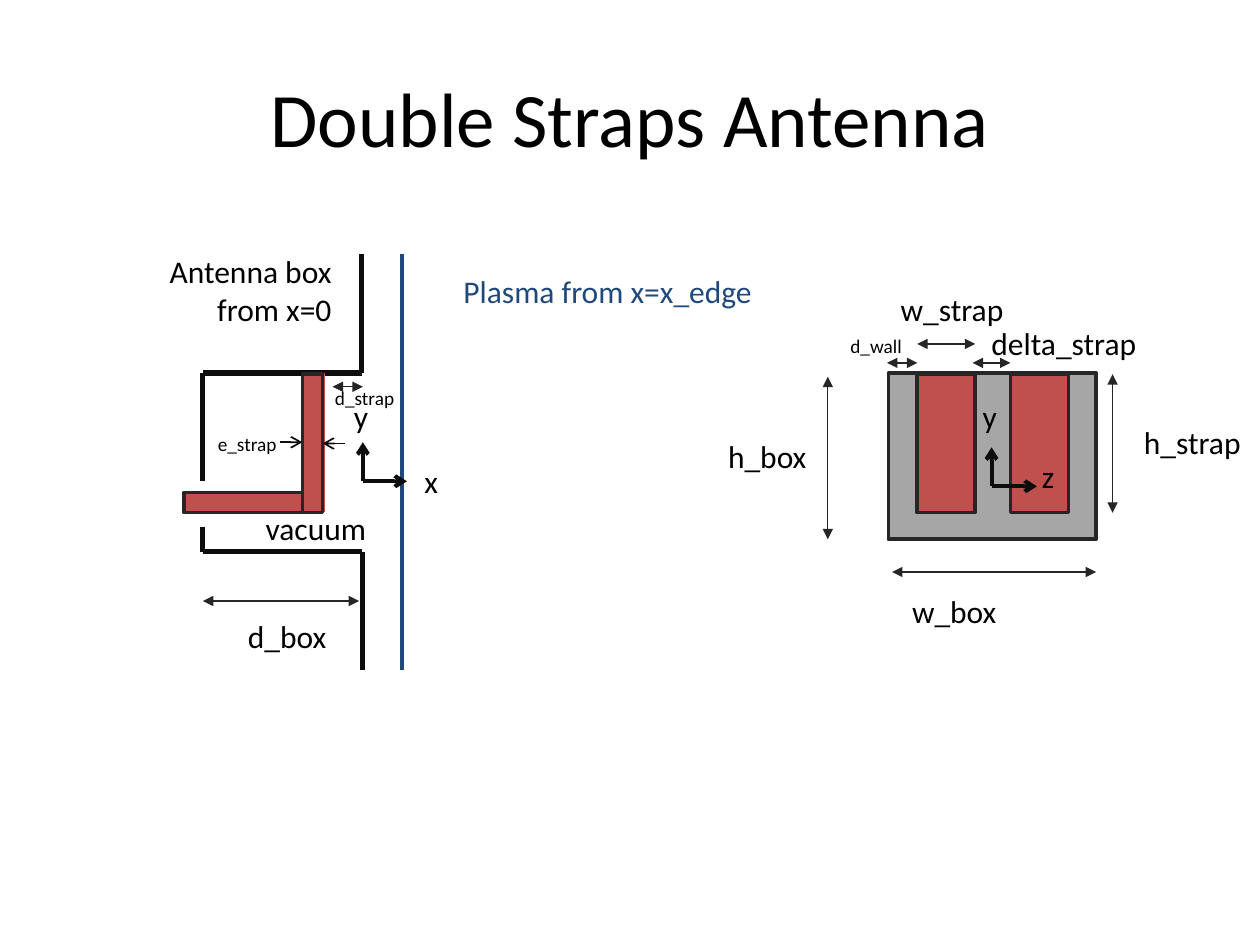
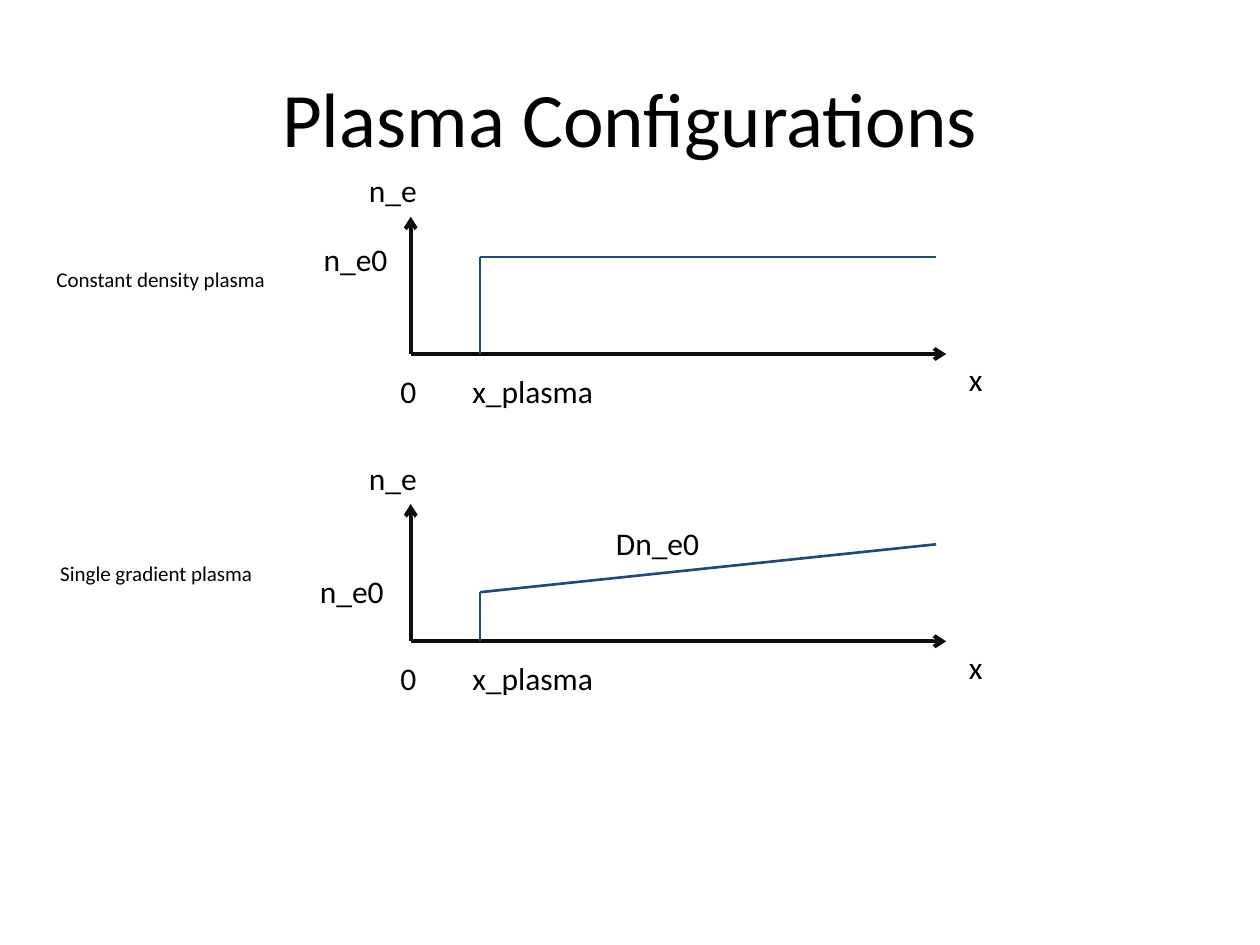
from lxml import etree
from pptx import Presentation
from pptx import util as u
from pptx.dml.color import RGBColor
from pptx.enum import shapes, text
from pptx.oxml import ns

BLACK = RGBColor(0x00, 0x00, 0x00)
WALL = RGBColor(0x0D, 0x0D, 0x0D)
OUTLINE = RGBColor(0x26, 0x26, 0x26)
STRAP = RGBColor(0xC0, 0x50, 0x4D)
BOX = RGBColor(0xA6, 0xA6, 0xA6)
PLASMA = RGBColor(0x1F, 0x49, 0x7D)
FONT = "Calibri"
LABEL_HEIGHTS = {18: 0.4, 12: 0.3, 11: 0.29}
TITLE_ONLY = 5


def format_text(text_frame, size, color, alignment):
    for paragraph in text_frame.paragraphs:
        paragraph.alignment = alignment
        for run in paragraph.runs:
            run.font.name = FONT
            run.font.size = u.Pt(size)
            run.font.color.rgb = color


def add_titled_slide(presentation, title):
    slide = presentation.slides.add_slide(presentation.slide_layouts[TITLE_ONLY])
    shape = slide.shapes.title
    shape.left, shape.top = u.Inches(0.5), u.Inches(0.3)
    shape.width, shape.height = u.Inches(9), u.Inches(1.25)
    shape.text_frame.text = title
    shape.text_frame.vertical_anchor = text.MSO_ANCHOR.MIDDLE
    format_text(shape.text_frame, 44, BLACK, text.PP_ALIGN.CENTER)
    return slide


def add_label(slide, words, left, top, width, size=18, color=BLACK,
              alignment=text.PP_ALIGN.LEFT, height=None):
    shape = slide.shapes.add_textbox(
        u.Inches(left), u.Inches(top), u.Inches(width),
        u.Inches(height or LABEL_HEIGHTS[size]))
    text_frame = shape.text_frame
    text_frame.word_wrap = False
    text_frame.auto_size = text.MSO_AUTO_SIZE.SHAPE_TO_FIT_TEXT
    text_frame.text = words
    format_text(text_frame, size, color, alignment)


def add_rectangle(slide, left, top, width, height, color):
    shape = slide.shapes.add_shape(
        shapes.MSO_SHAPE.RECTANGLE, u.Inches(left), u.Inches(top),
        u.Inches(width), u.Inches(height))
    shape.shadow.inherit = False
    shape.fill.solid()
    shape.fill.fore_color.rgb = color
    shape.line.color.rgb = OUTLINE
    shape.line.width = u.Pt(2)


def add_line(slide, start, end, color, width, head=None, tail=None):
    connector = slide.shapes.add_connector(
        shapes.MSO_CONNECTOR.STRAIGHT, u.Inches(start[0]), u.Inches(start[1]),
        u.Inches(end[0]), u.Inches(end[1]))
    connector.line.color.rgb = color
    connector.line.width = u.Pt(width)
    line = connector.line._get_or_add_ln()
    for tag, kind in (("a:headEnd", head), ("a:tailEnd", tail)):
        if kind:
            etree.SubElement(line, ns.qn(tag), type=kind)
    etree.SubElement(connector._element.spPr, ns.qn("a:effectLst"))


def add_dimension(slide, start, end):
    add_line(slide, start, end, OUTLINE, 0.75, head="triangle", tail="triangle")


def add_axes(slide, origin, length, height):
    x, y = origin
    for end in ((x + length, y), (x, y - height)):
        add_line(slide, origin, end, WALL, 2.25, tail="arrow")


def add_path(slide, points, color, width):
    for start, end in zip(points, points[1:]):
        add_line(slide, start, end, color, width)


def add_side_view(slide):
    back, front, top, bottom = 1.61, 2.87, 2.96, 4.38
    add_path(slide, [(front, 2.02), (front, top), (back, top), (back, 3.82)], WALL, 3)
    add_path(slide, [(back, 4.18), (back, bottom), (front, bottom)], WALL, 3)
    add_line(slide, (2.88, bottom), (2.88, 5.32), WALL, 3)
    add_path(slide, [(2.56, top), (2.56, 4.06), (back, 4.06)], STRAP, 3)
    add_line(slide, (3.19, 2.02), (3.19, 5.32), PLASMA, 2.25)
    add_rectangle(slide, 2.4, 2.97, 0.16, 1.1, STRAP)
    add_rectangle(slide, 1.46, 3.91, 0.94, 0.16, STRAP)
    add_axes(slide, (2.88, 3.82), 0.35, 0.31)
    add_dimension(slide, (back, 4.77), (2.85, 4.77))
    add_dimension(slide, (2.64, 3.07), (2.88, 3.07))
    add_line(slide, (2.22, 3.51), (2.4, 3.51), WALL, 1, tail="arrow")
    add_line(slide, (2.74, 3.52), (2.56, 3.52), WALL, 1, tail="arrow")
    add_label(slide, "Antenna box\vfrom x=0", 1.23, 1.95, 1.5,
              alignment=text.PP_ALIGN.RIGHT, height=0.71)
    add_label(slide, "Plasma from x=x_edge", 3.58, 2.11, 2.52, color=PLASMA)
    add_label(slide, "d_strap", 2.56, 3.02, 0.68, size=11)
    add_label(slide, "e_strap", 1.63, 3.38, 0.68, size=11)
    add_label(slide, "vacuum", 2.01, 3.99, 1.01)
    add_label(slide, "x", 3.27, 3.62, 0.31)
    add_label(slide, "y", 2.71, 3.1, 0.32)
    add_label(slide, "d_box", 1.87, 4.85, 0.83)


def add_front_view(slide):
    add_rectangle(slide, 7.05, 2.96, 1.65, 1.32, BOX)
    for left in (7.28, 8.02):
        add_rectangle(slide, left, 2.97, 0.46, 1.1, STRAP)
    add_axes(slide, (7.87, 3.86), 0.36, 0.31)
    for start, end in (
        ((7.28, 2.73), (7.74, 2.73)),
        ((7.04, 2.88), (7.28, 2.88)),
        ((7.72, 2.88), (8.02, 2.88)),
        ((7.08, 4.54), (8.7, 4.54)),
        ((8.83, 4.07), (8.83, 2.97)),
        ((6.57, 4.28), (6.57, 2.99)),
    ):
        add_dimension(slide, start, end)
    add_label(slide, "d_wall", 6.65, 2.6, 0.61, size=11)
    for words, left, top, width in (
        ("w_strap", 7.05, 2.25, 1.02),
        ("delta_strap", 7.77, 2.52, 1.36),
        ("h_strap", 8.98, 3.31, 0.98),
        ("h_box", 5.68, 3.42, 0.83),
        ("w_box", 7.14, 4.65, 0.88),
        ("z", 8.17, 3.58, 0.31),
        ("y", 7.7, 3.1, 0.32),
    ):
        add_label(slide, words, left, top, width)


def add_density_profile(slide, base, edge_rise, end_rise):
    add_axes(slide, (3.26, base), 4.25, 1.09)
    add_path(slide, [(3.81, base), (3.81, base - edge_rise),
                     (7.43, base - end_rise)], PLASMA, 1.5)
    add_label(slide, "n_e", 2.83, base - 1.5, 0.59)
    add_label(slide, "x", 7.59, base, 0.31)
    add_label(slide, "x_plasma", 3.65, base + 0.09, 1.17)
    add_label(slide, "0", 3.08, base + 0.09, 0.33)


def main():
    presentation = Presentation()
    presentation.slide_width = u.Inches(10)
    presentation.slide_height = u.Inches(7.5)

    antenna = add_titled_slide(presentation, "Double Straps Antenna")
    add_side_view(antenna)
    add_front_view(antenna)

    plasma = add_titled_slide(presentation, "Plasma Configurations")
    add_density_profile(plasma, 2.81, 0.77, 0.77)
    add_density_profile(plasma, 5.09, 0.39, 0.77)
    add_label(plasma, "n_e0", 2.47, 1.86, 0.72)
    add_label(plasma, "n_e0", 2.44, 4.49, 0.72)
    add_label(plasma, "Dn_e0", 4.79, 4.11, 0.87)
    add_label(plasma, "Constant density plasma", 0.35, 2.07, 1.87, size=12)
    add_label(plasma, "Single gradient plasma", 0.38, 4.4, 1.74, size=12)

    presentation.save("out.pptx")


if __name__ == "__main__":
    main()
